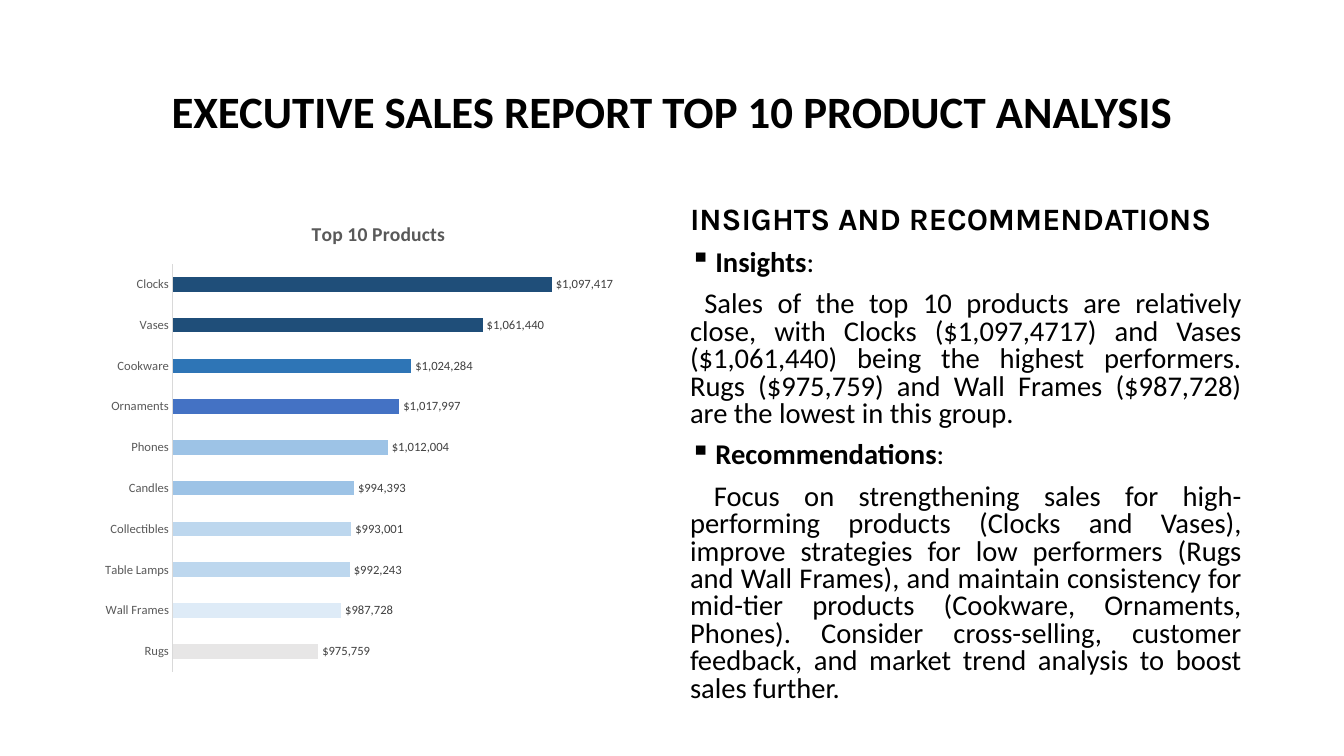
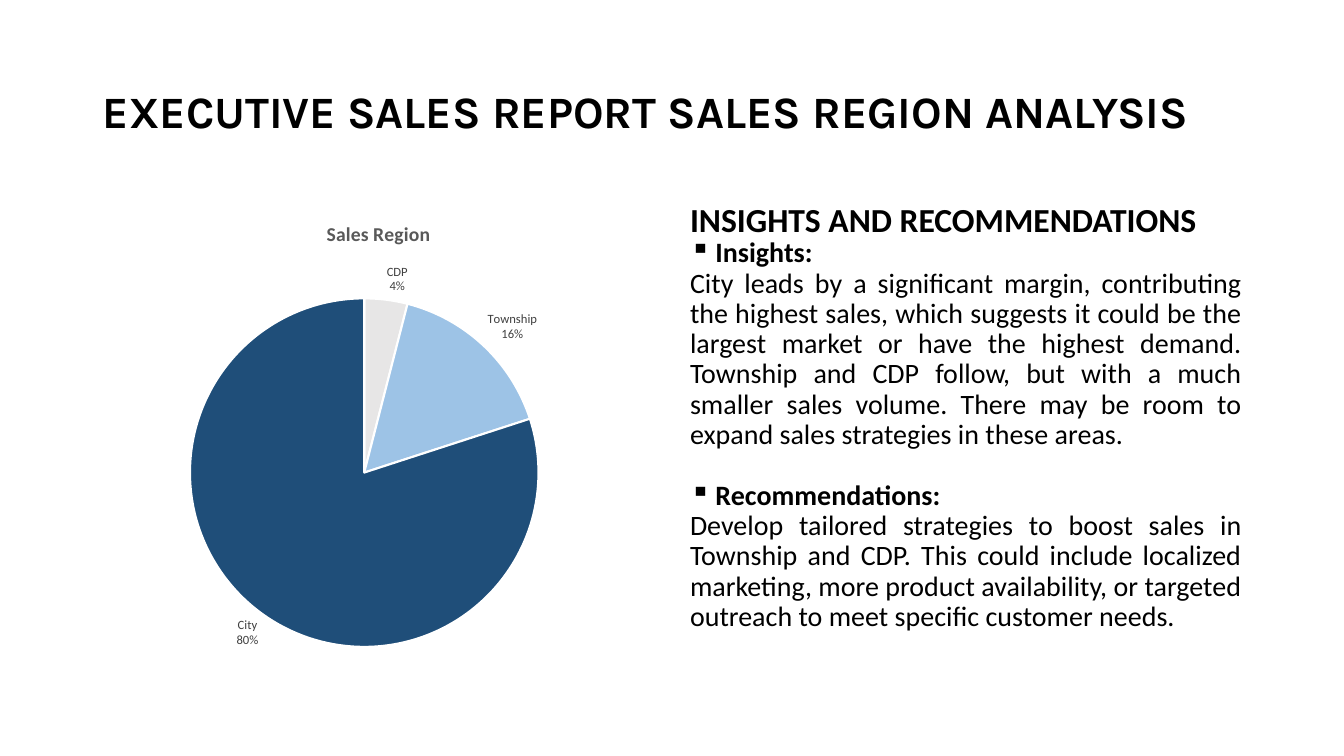
from dataclasses import dataclass
from lxml import etree
from pptx import Presentation
from pptx import util as u
from pptx.chart import data
from pptx.dml import color
from pptx.enum import chart as ch, text as tx
from pptx.oxml import ns

Cm, Pt = u.Cm, u.Pt


@dataclass(frozen=True)
class Theme:
    sans: str = "Calibri"
    head: str = "Karla"
    ink: str = "000000"
    white: str = "FFFFFF"
    gray: str = "595959"
    label: str = "404040"
    rule: str = "D9D9D9"
    pale: str = "E7E6E6"
    mist: str = "DEEBF7"
    ice: str = "BDD7EE"
    sky: str = "9DC3E6"
    royal: str = "4472C4"
    blue: str = "2E75B6"
    navy: str = "1F4E79"
    title: float = 32
    chart: float = 14
    base: float = 10
    small: float = 9


class Deck:
    left, right, top = Cm(2.34), Cm(17.14), Cm(5.08)
    wide, high = Cm(14.4), Cm(12.09)

    def __init__(self, theme):
        self.theme = theme
        self.prs = Presentation()
        self.prs.slide_width, self.prs.slide_height = Cm(33.87), Cm(19.05)
        self.slide = None

    def font(self, font, size, tint, name=None, bold=False):
        font.size, font.bold = Pt(size), bold
        font.name = name or self.theme.sans
        font.color.rgb = color.RGBColor.from_string(tint)

    def fill(self, form, tint):
        form.fill.solid()
        form.fill.fore_color.rgb = color.RGBColor.from_string(tint)

    def run(self, para, words, size, name=None, bold=False):
        run = para.add_run()
        run.text = words
        self.font(run.font, size, self.theme.ink, name, bold)

    def title(self, words, name, align):
        self.slide = self.prs.slides.add_slide(self.prs.slide_layouts[5])
        shape = self.slide.shapes.title
        shape.left, shape.top = self.left, Cm(1.02)
        shape.width, shape.height = Cm(29.2), Cm(3.68)
        frame = shape.text_frame
        frame.word_wrap = True
        frame.vertical_anchor = tx.MSO_ANCHOR.MIDDLE
        para = frame.paragraphs[0]
        para.alignment, para.line_spacing = align, 0.9
        self.run(para, words, self.theme.title, name, True)

    def body(self, head, size, name, parts, text, lead, gap, mark):
        box = self.slide.shapes.add_textbox(
            self.right, self.top, self.wide, self.high)
        frame = box.text_frame
        frame.word_wrap = True
        para = frame.paragraphs[0]
        para.alignment = tx.PP_ALIGN.LEFT
        para.line_spacing, para.space_before = 0.8, Pt(10)
        self.run(para, head, size, name, True)
        for label, bold, before, words, dent in parts:
            para = self.para(frame, lead, before)
            self.bullet(para)
            self.run(para, label, text, bold=True)
            self.run(para, ":", text, bold=mark)
            para = self.para(frame, lead, gap)
            para._p.get_or_add_pPr().set("indent", str(Cm(dent)))
            self.run(para, words, text, bold=bold)

    def para(self, frame, lead, before):
        para = frame.add_paragraph()
        para.alignment = tx.PP_ALIGN.JUSTIFY
        para.line_spacing, para.space_before = lead, Pt(before)
        return para

    def bullet(self, para):
        props = para._p.get_or_add_pPr()
        props.set("marL", str(Cm(0.64)))
        props.set("indent", str(Cm(-0.64)))
        etree.SubElement(props, ns.qn("a:buChar")).set("char", "▪")

    def chart(self, kind, title, rows, form, area):
        t = self.theme
        feed = data.CategoryChartData(number_format=form)
        feed.categories = [row[0] for row in rows]
        feed.add_series("Series 1", [row[1] for row in rows])
        chart = self.slide.shapes.add_chart(
            kind, self.left, self.top, self.wide, self.high, feed).chart
        self.font(chart.font, t.base, t.ink)
        chart.has_legend = False
        chart.has_title = True
        run = chart.chart_title.text_frame.paragraphs[0].add_run()
        run.text = title
        self.font(run.font, t.chart, t.gray, bold=True)
        chart.chart_title.include_in_layout = False
        plot = chart.plots[0]
        plot.vary_by_categories = False
        for spot, row in enumerate(rows):
            self.fill(plot.series[0].points[spot].format, row[2])
        plot.has_data_labels = True
        tags = plot.data_labels
        self.font(tags.font, t.small, t.label)
        tags.number_format, tags.number_format_is_linked = form, False
        tags.position = ch.XL_LABEL_POSITION.OUTSIDE_END
        self.place(chart, area)
        return chart

    def place(self, chart, area):
        plot = chart._chartSpace.find(".//" + ns.qn("c:plotArea"))
        for old in plot.findall(ns.qn("c:layout")):
            plot.remove(old)
        outer = etree.Element(ns.qn("c:layout"))
        inner = etree.SubElement(outer, ns.qn("c:manualLayout"))
        keys = ("layoutTarget", "xMode", "yMode", "x", "y", "w", "h")
        for key, val in zip(keys, ("inner", "edge", "edge") + area):
            etree.SubElement(inner, ns.qn("c:" + key)).set("val", str(val))
        plot.insert(0, outer)

    def bars(self, title, rows, low, top):
        t = self.theme
        chart = self.chart(ch.XL_CHART_TYPE.BAR_CLUSTERED, title, rows,
                           '"$"#,##0', (0.14, 0.13, 0.84, 0.85))
        plot = chart.plots[0]
        plot.gap_width = 182
        plot.data_labels.show_value = True
        self.fill(plot.series[0].format, t.royal)
        axis = chart.value_axis
        axis.minimum_scale, axis.maximum_scale = low, top
        axis.has_major_gridlines = False
        axis.visible = False
        axis = chart.category_axis
        axis.major_tick_mark = ch.XL_TICK_MARK.NONE
        axis.has_major_gridlines = False
        self.font(axis.tick_labels.font, t.small, t.gray)
        axis.format.line.width = Pt(0.75)
        axis.format.line.color.rgb = color.RGBColor.from_string(t.rule)

    def pie(self, title, rows):
        chart = self.chart(ch.XL_CHART_TYPE.PIE, title, rows,
                           "0%", (0.17, 0.2, 0.61, 0.73))
        plot = chart.plots[0]
        tags = plot.data_labels
        tags.show_value = False
        tags.show_category_name = tags.show_percentage = True
        split = etree.Element(ns.qn("c:separator"))
        split.text = "\n"
        tags._element.find(ns.qn("c:showBubbleSize")).addnext(split)
        for spot in range(len(rows)):
            line = plot.series[0].points[spot].format.line
            line.width = Pt(1.5)
            line.color.rgb = color.RGBColor.from_string(self.theme.white)


def main():
    t = Theme()
    deck = Deck(t)
    head = "INSIGHTS AND RECOMMENDATIONS"

    deck.title("EXECUTIVE SALES REPORT TOP 10 PRODUCT ANALYSIS",
               t.sans, tx.PP_ALIGN.CENTER)
    deck.body(head, 22.2, t.head, [
        ("Insights", False, 10,
         "Sales of the top 10 products are relatively close, with Clocks "
         "($1,097,4717) and Vases ($1,061,440) being the highest performers. "
         "Rugs ($975,759) and Wall Frames ($987,728) are the lowest in this "
         "group.", 0.36),
        ("Recommendations", False, 10,
         "Focus on strengthening sales for high-performing products (Clocks "
         "and Vases), improve strategies for low performers (Rugs and Wall "
         "Frames), and maintain consistency for mid-tier products (Cookware, "
         "Ornaments, Phones). Consider cross-selling, customer feedback, and "
         "market trend analysis to boost sales further.", 0.6),
    ], text=20.4, lead=0.8, gap=10, mark=False)
    deck.bars("Top 10 Products", [
        ("Rugs", 975759, t.pale),
        ("Wall Frames", 987728, t.mist),
        ("Table Lamps", 992243, t.ice),
        ("Collectibles", 993001, t.ice),
        ("Candles", 994393, t.sky),
        ("Phones", 1012004, t.sky),
        ("Ornaments", 1017997, t.royal),
        ("Cookware", 1024284, t.blue),
        ("Vases", 1061440, t.navy),
        ("Clocks", 1097417, t.navy),
    ], 900000, 1150000)

    deck.title("EXECUTIVE SALES REPORT SALES REGION ANALYSIS",
               t.head, tx.PP_ALIGN.LEFT)
    deck.body(head, 24, t.sans, [
        ("Insights", False, 0,
         "City leads by a significant margin, contributing the highest sales, "
         "which suggests it could be the largest market or have the highest "
         "demand. Township and CDP follow, but with a much smaller sales "
         "volume. There may be room to expand sales strategies in these "
         "areas.", 0),
        ("Recommendations", False, 22,
         "Develop tailored strategies to boost sales in Township and CDP. "
         "This could include localized marketing, more product availability, "
         "or targeted outreach to meet specific customer needs.", 0),
    ], text=20, lead=0.9, gap=0, mark=True)
    deck.pie("Sales Region", [
        ("CDP", 4, t.pale),
        ("Township", 16, t.sky),
        ("City", 80, t.navy),
    ])
    deck.prs.save("out.pptx")


if __name__ == "__main__":
    main()
